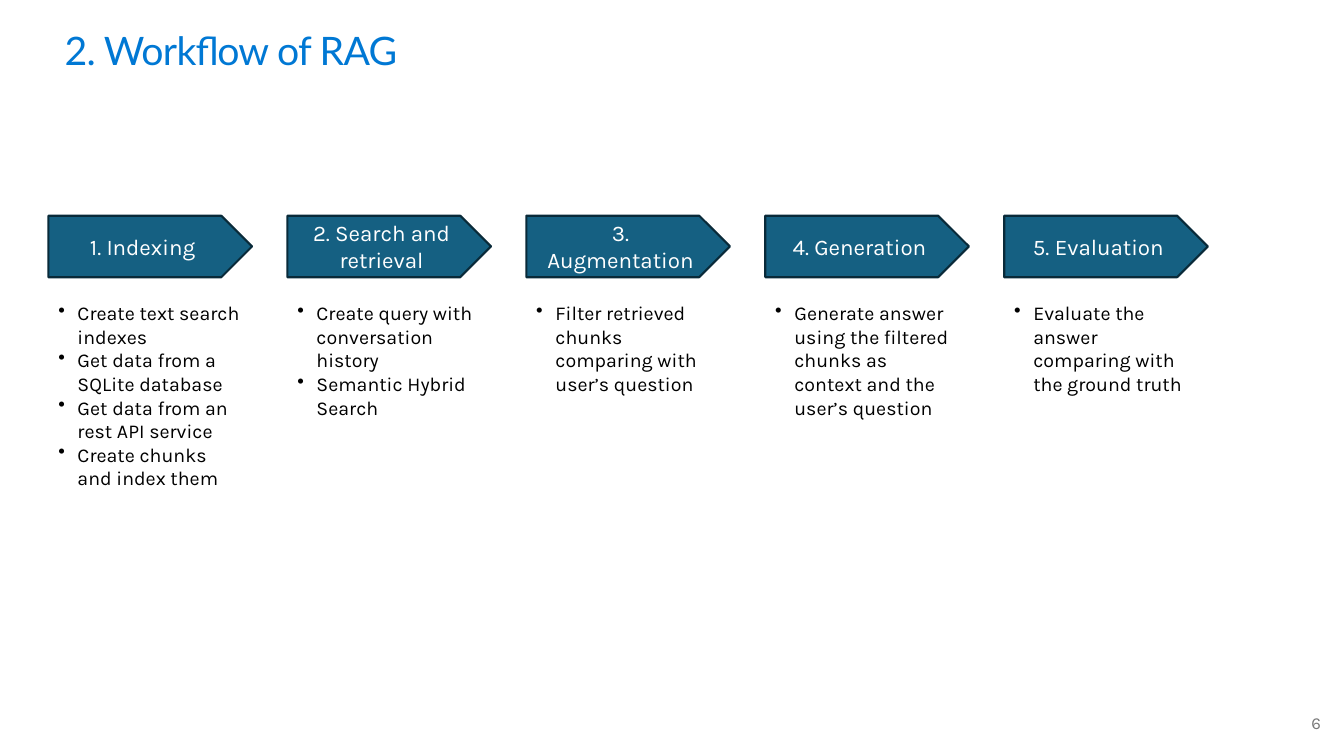
import pptx
import pptx.util
import pptx.dml.color
import pptx.enum.shapes
import pptx.enum.text
import pptx.oxml.ns
from lxml import etree

WHITE = pptx.dml.color.RGBColor(0xFF, 0xFF, 0xFF)
BLACK = pptx.dml.color.RGBColor(0x00, 0x00, 0x00)
TITLE_BLUE = pptx.dml.color.RGBColor(0x00, 0x78, 0xD4)
STAGE_TEAL = pptx.dml.color.RGBColor(0x15, 0x60, 0x82)
STAGE_EDGE = pptx.dml.color.RGBColor(0x09, 0x2A, 0x39)
NUMBER_GREY = pptx.dml.color.RGBColor(0x79, 0x79, 0x79)

BODY_FONT = "Karla"
TITLE_FONT = "Lato"
ALIGN = pptx.enum.text.PP_ALIGN
ANCHOR = pptx.enum.text.MSO_ANCHOR

GRID_LEFT = 0.48
COLUMN_PITCH = 2.37
COLUMN_WIDTH = 2.02
STAGE_TOP, STAGE_HEIGHT = 2.14, 0.61
DETAIL_TOP = 2.94
LINE_HEIGHT, BOX_PADDING = 0.24, 0.08
BULLET_INDENT = pptx.util.Inches(0.19)

STAGES = [
    ("1. Indexing", 8, [
        "Create text search indexes",
        "Get data from a SQLite database",
        "Get data from an rest API service",
        "Create chunks and index them",
    ]),
    ("2. Search and retrieval", 5, [
        "Create query with conversation history",
        "Semantic Hybrid Search",
    ]),
    ("3. Augmentation", 4, [
        "Filter retrieved chunks comparing with user’s question",
    ]),
    ("4. Generation", 5, [
        "Generate answer using the filtered chunks as context and the user’s question",
    ]),
    ("5. Evaluation", 4, [
        "Evaluate the answer comparing with the ground truth",
    ]),
]


def inches(*lengths):
    return [pptx.util.Inches(length) for length in lengths]


def column_left(column):
    return GRID_LEFT + column * COLUMN_PITCH


def add_run(paragraph, words, size, color, font=BODY_FONT):
    run = paragraph.add_run()
    run.text = words
    run.font.size = pptx.util.Pt(size)
    run.font.name = font
    run.font.color.rgb = color
    return run


def add_text_frame(slide, left, top, width, height, grows=True):
    frame = slide.shapes.add_textbox(*inches(left, top, width, height)).text_frame
    frame.word_wrap = True
    if grows:
        frame.auto_size = pptx.enum.text.MSO_AUTO_SIZE.SHAPE_TO_FIT_TEXT
    return frame


def add_title(slide, words):
    frame = add_text_frame(slide, 0.64, 0.26, 12.05, 0.47)
    frame.margin_left = frame.margin_right = 0
    frame.margin_top = frame.margin_bottom = 0
    run = add_run(frame.paragraphs[0], words, 28, TITLE_BLUE, TITLE_FONT)
    run.font._element.set("spc", "-50")


def add_page_number(slide, number):
    frame = add_text_frame(slide, 12.76, 6.97, 0.44, 0.4, grows=False)
    frame.vertical_anchor = ANCHOR.MIDDLE
    frame.paragraphs[0].alignment = ALIGN.RIGHT
    add_run(frame.paragraphs[0], number, 12, NUMBER_GREY)


def add_stage(slide, column, heading):
    stage = slide.shapes.add_shape(
        pptx.enum.shapes.MSO_SHAPE.PENTAGON,
        *inches(column_left(column), STAGE_TOP, COLUMN_WIDTH, STAGE_HEIGHT))
    stage.shadow.inherit = False
    stage.fill.solid()
    stage.fill.fore_color.rgb = STAGE_TEAL
    stage.line.color.rgb = STAGE_EDGE
    stage.line.width = pptx.util.Pt(1.5)
    frame = stage.text_frame
    frame.word_wrap = True
    frame.vertical_anchor = ANCHOR.MIDDLE
    frame.paragraphs[0].alignment = ALIGN.CENTER
    add_run(frame.paragraphs[0], heading, 16, WHITE)


def add_bullet(paragraph):
    properties = paragraph._p.get_or_add_pPr()
    properties.set("marL", str(BULLET_INDENT))
    properties.set("indent", str(-BULLET_INDENT))
    bullet = etree.SubElement(properties, pptx.oxml.ns.qn("a:buChar"))
    bullet.set("char", "•")


def add_details(slide, column, line_count, details):
    height = BOX_PADDING + line_count * LINE_HEIGHT
    frame = add_text_frame(slide, column_left(column), DETAIL_TOP, COLUMN_WIDTH, height)
    for index, detail in enumerate(details):
        paragraph = frame.add_paragraph() if index else frame.paragraphs[0]
        add_bullet(paragraph)
        add_run(paragraph, detail, 14, BLACK)


def main():
    deck = pptx.Presentation()
    deck.slide_width, deck.slide_height = inches(13.33, 7.5)
    slide = deck.slides.add_slide(deck.slide_layouts[6])
    add_title(slide, "2. Workflow of RAG")
    for column, (heading, line_count, details) in enumerate(STAGES):
        add_stage(slide, column, heading)
        add_details(slide, column, line_count, details)
    add_page_number(slide, "6")
    deck.save("out.pptx")


if __name__ == "__main__":
    main()
